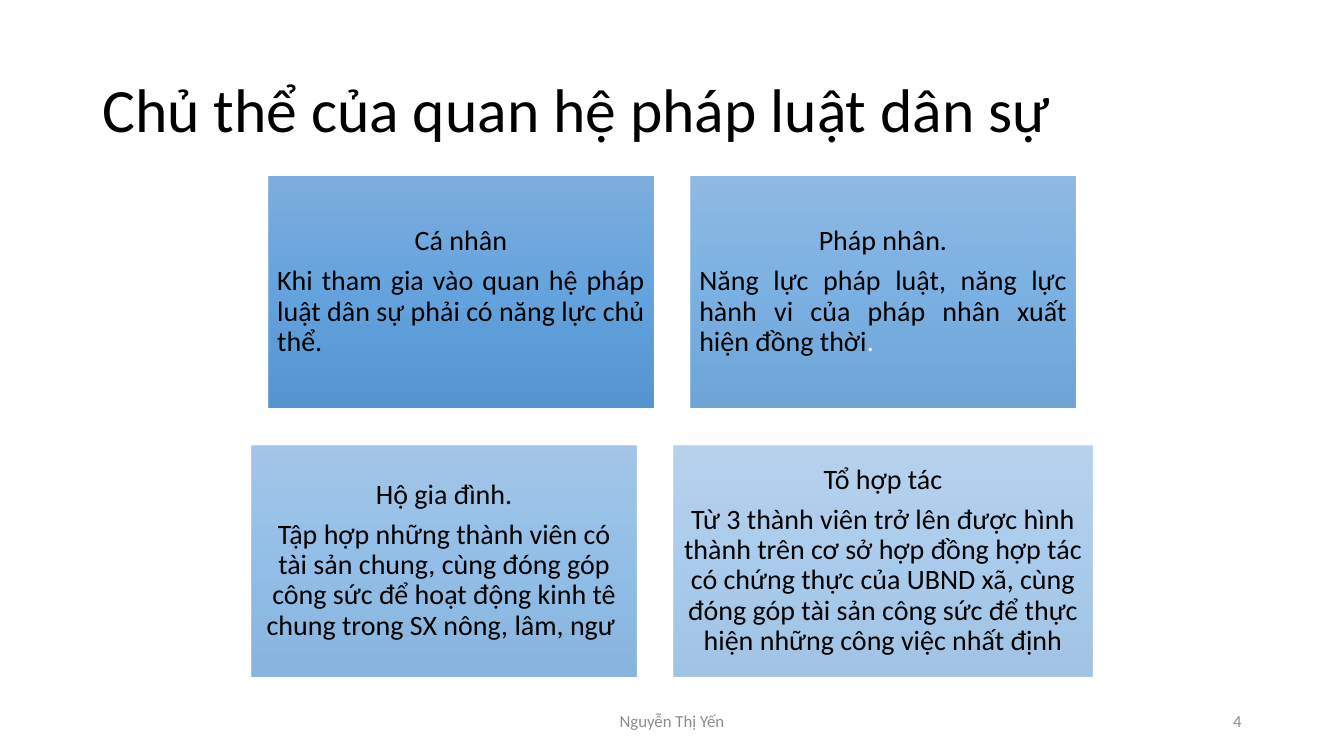
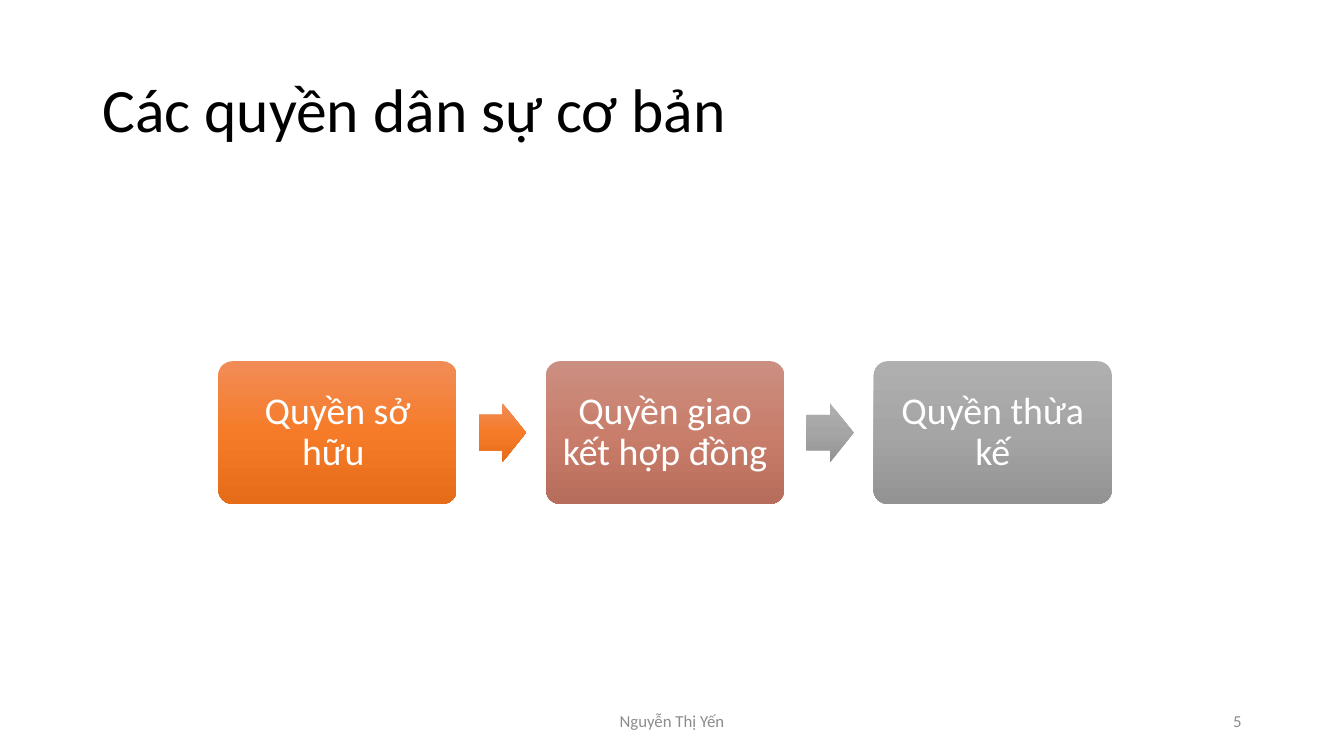
"""Build two slides on the subjects of civil law relations and on basic civil rights."""
from dataclasses import dataclass
from typing import Optional

from lxml.etree import SubElement
from pptx import Presentation
from pptx.dml.color import RGBColor
from pptx.enum.shapes import MSO_SHAPE as Preset
from pptx.enum.text import MSO_ANCHOR as Anchor, PP_ALIGN as Align
from pptx.oxml.ns import qn
from pptx.util import Emu, Pt

EMU_PER_PX = 9525
PAGE_WIDTH, PAGE_HEIGHT = 1280, 720


@dataclass(frozen=True)
class Theme:
    """Colours, font and type sizes of the deck."""

    font: str = "Calibri"
    black: str = "000000"
    white: str = "FFFFFF"
    grey: str = "8C8C8C"
    blue_stops: tuple[str, ...] = ("71A6DB", "559BDB", "448ACA")
    orange_stops: tuple[str, ...] = ("F18C57", "F67B28", "E56C19")
    rose_stops: tuple[str, ...] = ("CB8F81", "C97E6B", "B76D5B")
    grey_stops: tuple[str, ...] = ("AFAFAF", "A5A5A5", "939393")
    title_size: int = 44
    card_size: int = 20
    step_size: int = 27
    footer_size: int = 12
    line_spacing: float = 0.9
    space_share: float = 0.35


THEME = Theme()


@dataclass(frozen=True)
class Area:
    """Place and size in px."""

    left: int
    top: int
    width: int
    height: int


@dataclass(frozen=True)
class Span:
    """Text in one colour."""

    text: str
    color: str = THEME.black


@dataclass(frozen=True)
class Para:
    """Aligned paragraph made of spans."""

    spans: tuple[Span, ...]
    align: Align = Align.CENTER


@dataclass(frozen=True)
class Card:
    """Blue panel with a heading and a body."""

    heading: str
    body: Para
    opacity: int
    width: int = 366


@dataclass(frozen=True)
class Step:
    """Rounded box of the chain of rights."""

    label: str
    stops: tuple[str, ...]
    arrow_stops: Optional[tuple[str, ...]] = None


TITLE_AREA = Area(88, 38, 1104, 139)
FOOTER_AREA = Area(424, 667, 432, 38)
NUMBER_AREA = Area(904, 667, 288, 38)
AUTHOR = "Nguyễn Thị Yến"

CARDS_TOP, CARD_HEIGHT, CARD_GAP, CARD_INSET = 168, 220, 36, 8
CARD_ROWS = (
    (
        Card("Cá nhân", Para((Span(
            "Khi tham gia vào quan hệ pháp luật dân sự phải có năng lực chủ thể."),),
            Align.JUSTIFY), 90),
        Card("Pháp nhân.", Para((
            Span("Năng lực pháp luật, năng lực hành vi của pháp nhân xuất hiện đồng thời"),
            Span(".", THEME.white)), Align.JUSTIFY), 77),
    ),
    (
        Card("Hộ gia đình.", Para((Span(
            "Tập hợp những thành viên có tài sản chung, cùng đóng góp công sức "
            "để hoạt động kinh tê chung trong SX nông, lâm, ngư "),)), 63),
        Card("Tổ hợp tác", Para((Span(
            "Từ 3 thành viên trở lên được hình thành trên cơ sở hợp đồng hợp tác "
            "có chứng thực của UBND xã, cùng đóng góp tài sản công sức để thực hiện "
            "những công việc nhất định"),)), 50, 398),
    ),
)

FIRST_STEP = Area(208, 344, 227, 136)
STEP_PITCH, STEP_INSET = 312, 10
ARROW_WIDTH, ARROW_HEIGHT, ARROW_GAP = 45, 56, 21
STEPS = (
    Step("Quyền sở hữu ", THEME.orange_stops, THEME.orange_stops),
    Step("Quyền giao kết hợp đồng", THEME.rose_stops, THEME.grey_stops),
    Step("Quyền thừa kế", THEME.grey_stops),
)


def px(length: int) -> Emu:
    """Turn px into EMU."""
    return Emu(length * EMU_PER_PX)


def frame(area: Area) -> tuple[Emu, Emu, Emu, Emu]:
    """Give an area in EMU."""
    return px(area.left), px(area.top), px(area.width), px(area.height)


def write(box, paras: tuple[Para, ...], size: int, spacing: float = 1.0,
          space_after: float = 0, inset: Optional[int] = None) -> None:
    """Fill a box with vertically centred paragraphs."""
    text = box.text_frame
    text.word_wrap = True
    text.vertical_anchor = Anchor.MIDDLE
    if inset is not None:
        text.margin_left = text.margin_right = px(inset)
        text.margin_top = text.margin_bottom = px(inset)
    for index, para in enumerate(paras):
        line = text.add_paragraph() if index else text.paragraphs[0]
        line.alignment = para.align
        line.line_spacing = spacing
        line.space_after = Pt(space_after)
        for span in para.spans:
            run = line.add_run()
            run.text = span.text
            run.font.name = THEME.font
            run.font.size = Pt(size)
            run.font.color.rgb = RGBColor.from_string(span.color)


def add_label(page, area: Area, text: str, size: int, color: str,
              align: Align, spacing: float = 1.0) -> None:
    """Add a text box with a single line."""
    box = page.shapes.add_textbox(*frame(area))
    write(box, (Para((Span(text, color),), align),), size, spacing)


def add_gradient_shape(page, preset: Preset, area: Area, stops: tuple[str, ...],
                       opacity: int = 100, adjustments: tuple[float, ...] = ()):
    """Add a borderless shape with a gradient from top to bottom."""
    shape = page.shapes.add_shape(preset, *frame(area))
    shape.shadow.inherit = False
    shape.line.fill.background()
    for index, value in enumerate(adjustments):
        shape.adjustments[index] = value
    shape.fill.gradient()
    shape.fill.gradient_angle = 270
    stop_list = shape._element.spPr.find(qn("a:gradFill")).find(qn("a:gsLst"))
    stop_list.clear()
    for index, color in enumerate(stops):
        position = 100000 * index // (len(stops) - 1)
        stop = SubElement(stop_list, qn("a:gs"), pos=str(position))
        tint = SubElement(stop, qn("a:srgbClr"), val=color)
        if opacity < 100:
            SubElement(tint, qn("a:alpha"), val=str(opacity * 1000))
    return shape


def add_page(deck, title: str, number: int):
    """Add a blank page with its title, author and number."""
    page = deck.slides.add_slide(deck.slide_layouts[6])
    add_label(page, TITLE_AREA, title, THEME.title_size, THEME.black,
              Align.LEFT, THEME.line_spacing)
    add_label(page, FOOTER_AREA, AUTHOR, THEME.footer_size, THEME.grey, Align.CENTER)
    add_label(page, NUMBER_AREA, str(number), THEME.footer_size, THEME.grey, Align.RIGHT)
    return page


def draw_cards(page) -> None:
    """Draw the rows of cards, each row centred on the page."""
    for row, cards in enumerate(CARD_ROWS):
        row_width = sum(card.width for card in cards) + CARD_GAP * (len(cards) - 1)
        left = (PAGE_WIDTH - row_width) // 2
        top = CARDS_TOP + row * (CARD_HEIGHT + CARD_GAP)
        for card in cards:
            area = Area(left, top, card.width, CARD_HEIGHT)
            box = add_gradient_shape(page, Preset.RECTANGLE, area,
                                     THEME.blue_stops, card.opacity)
            write(box, (Para((Span(card.heading),)), card.body), THEME.card_size,
                  THEME.line_spacing, THEME.card_size * THEME.space_share, CARD_INSET)
            left += card.width + CARD_GAP


def draw_steps(page) -> None:
    """Draw the chain of rights with its arrows."""
    for index, step in enumerate(STEPS):
        left = FIRST_STEP.left + index * STEP_PITCH
        area = Area(left, FIRST_STEP.top, FIRST_STEP.width, FIRST_STEP.height)
        box = add_gradient_shape(page, Preset.ROUNDED_RECTANGLE, area,
                                 step.stops, adjustments=(0.1,))
        write(box, (Para((Span(step.label, THEME.white),)),), THEME.step_size,
              THEME.line_spacing, THEME.step_size * THEME.space_share, STEP_INSET)
        if step.arrow_stops:
            arrow_area = Area(left + area.width + ARROW_GAP,
                              area.top + (area.height - ARROW_HEIGHT) // 2,
                              ARROW_WIDTH, ARROW_HEIGHT)
            add_gradient_shape(page, Preset.RIGHT_ARROW, arrow_area,
                               step.arrow_stops, adjustments=(0.6, 0.5))


def main() -> None:
    """Build and save the deck."""
    deck = Presentation()
    deck.slide_width, deck.slide_height = px(PAGE_WIDTH), px(PAGE_HEIGHT)
    draw_cards(add_page(deck, "Chủ thể của quan hệ pháp luật dân sự", 4))
    draw_steps(add_page(deck, "Các quyền dân sự cơ bản", 5))
    deck.save("out.pptx")


if __name__ == "__main__":
    main()
